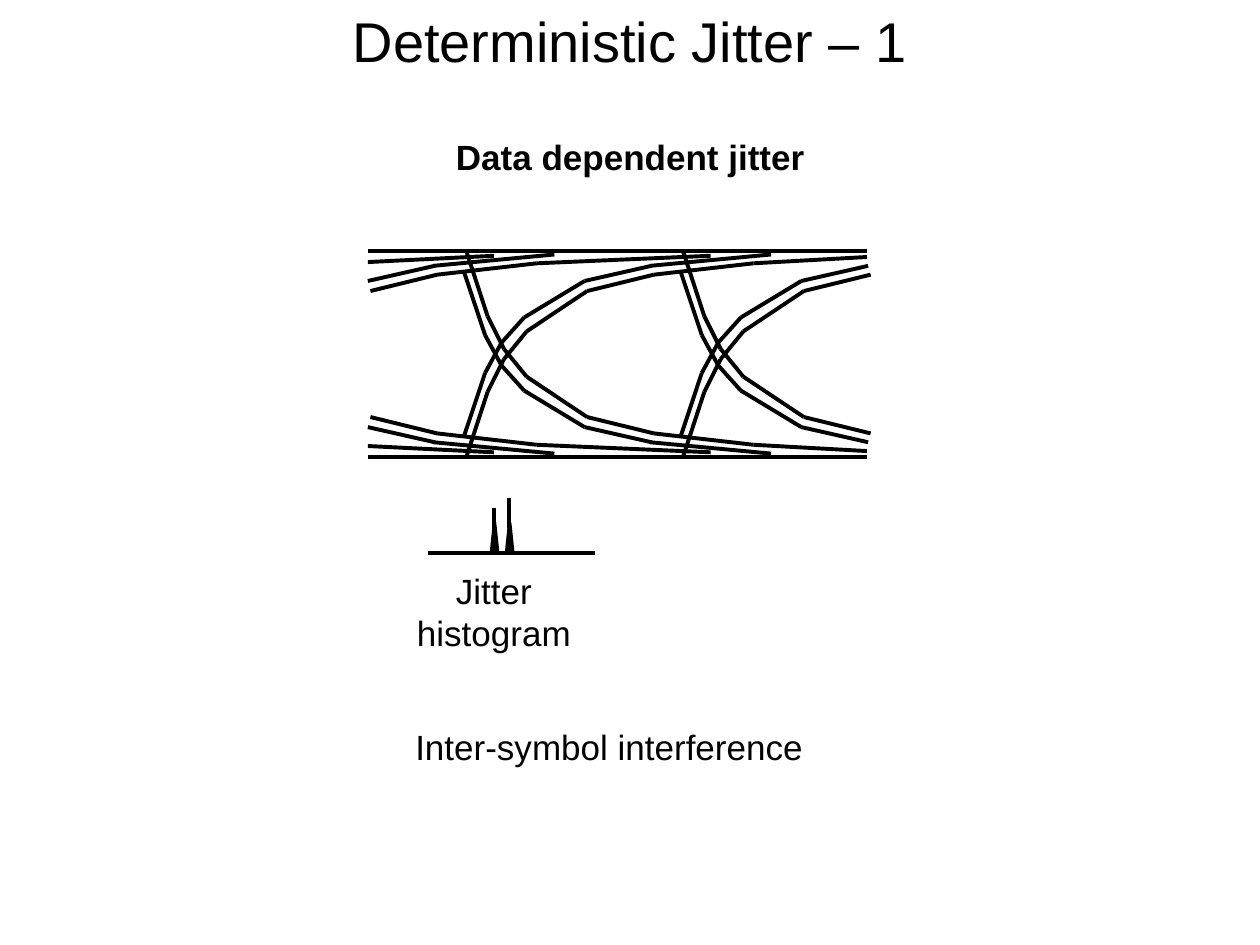
from pptx import Presentation
from pptx.dml.color import RGBColor
from pptx.enum.shapes import MSO_CONNECTOR, MSO_SHAPE
from pptx.enum.text import MSO_AUTO_SIZE, PP_ALIGN
from pptx.oxml.ns import qn
from pptx.util import Inches, Pt
from lxml import etree

STRAIGHT = MSO_CONNECTOR.STRAIGHT
TRIANGLE = MSO_SHAPE.ISOSCELES_TRIANGLE
FIT_SHAPE = MSO_AUTO_SIZE.SHAPE_TO_FIT_TEXT
LEFT, CENTER = PP_ALIGN.LEFT, PP_ALIGN.CENTER
BLACK = RGBColor(0, 0, 0)

# Eye diagram geometry, in inches
EYE_LEFT, EYE_RIGHT = 2.92, 6.88
EYE_TOP, EYE_BOTTOM = 1.99, 3.63
PERIOD = 1.72
OUTER_EDGE = [(3.7, 1.99), (3.87, 2.51), (4, 2.77), (4.18, 2.99),
              (4.66, 3.31), (5.19, 3.44)]
INNER_EDGE = [(3.68, 2.15), (3.85, 2.66), (3.98, 2.9), (4.16, 3.1),
              (4.64, 3.39), (5.17, 3.51)]
INNER_TAIL = [(3.44, 3.51), (4.4, 3.6)]


def shift(points, offset):
    return [(x + offset, y) for x, y in points]


def mirror(points):
    """Flip a trace about the middle of the eye."""
    return [(x, EYE_TOP + EYE_BOTTOM - y) for x, y in points]


class SlideBuilder:
    font_name = "Arial"
    color = BLACK
    line_width = Pt(2.25)
    outline_width = Pt(2)

    def __init__(self, slide):
        self.slide = slide

    def text(self, content, left, top, width, height,
             size=20, bold=False, align=CENTER, wrap=True):
        box = self.slide.shapes.add_textbox(
            Inches(left), Inches(top), Inches(width), Inches(height))
        frame = box.text_frame
        frame.word_wrap = wrap
        frame.auto_size = FIT_SHAPE
        paragraph = frame.paragraphs[0]
        paragraph.alignment = align
        run = paragraph.add_run()
        run.text = content
        run.font.name = self.font_name
        run.font.size = Pt(size)
        run.font.bold = bold
        run.font.color.rgb = self.color

    def line(self, start, end):
        connector = self.slide.shapes.add_connector(
            STRAIGHT, *(Inches(value) for value in (*start, *end)))
        connector.line.color.rgb = self.color
        connector.line.width = self.line_width
        etree.SubElement(connector._element.spPr, qn("a:effectLst"))

    def trace(self, points):
        for start, end in zip(points, points[1:]):
            self.line(start, end)

    def triangle(self, left, top, width, height):
        shape = self.slide.shapes.add_shape(
            TRIANGLE, Inches(left), Inches(top), Inches(width), Inches(height))
        shape.shadow.inherit = False
        shape.fill.solid()
        shape.fill.fore_color.rgb = self.color
        shape.line.color.rgb = self.color
        shape.line.width = self.outline_width


def main():
    presentation = Presentation()
    presentation.slide_width = Inches(10)
    presentation.slide_height = Inches(7.5)
    slide = presentation.slides.add_slide(presentation.slide_layouts[6])
    builder = SlideBuilder(slide)

    # Headings
    builder.text("Deterministic Jitter – 1", 0, 0, 10, 0.64, size=32)
    builder.text("Data dependent jitter", 3.52, 1.03, 2.99, 0.44,
                 bold=True, align=LEFT, wrap=False)

    # Eye diagram: each falling trace has a mirrored rising one
    falling_traces = [
        shift(OUTER_EDGE[-2:], -PERIOD) + [(4.26, 3.53), (5.64, 3.59)],
        shift(INNER_EDGE[-2:], -PERIOD),
        OUTER_EDGE + [(5.98, 3.53), (EYE_RIGHT, 3.58)],
        INNER_EDGE,
        shift(OUTER_EDGE, PERIOD),
        shift(INNER_EDGE, PERIOD),
        INNER_TAIL,
        shift(INNER_TAIL, PERIOD),
        [(EYE_LEFT, 3.54), (3.92, 3.59)],
        [(EYE_LEFT, EYE_BOTTOM), (EYE_RIGHT, EYE_BOTTOM)],
    ]
    for points in falling_traces:
        builder.trace(points)
        builder.trace(mirror(points))

    # Jitter histogram: two peaks on a baseline
    builder.line((4.72, 4.39), (3.4, 4.39))
    for center, top in ((3.92, 4.03), (4.04, 3.95)):
        builder.line((center, top), (center, top + 0.24))
        builder.triangle(center - 0.02, 4.15, 0.05, 0.24)
    builder.text("Jitter histogram", 2.96, 4.47, 1.92, 0.77)

    # Caption
    builder.text("Inter-symbol interference", 2.76, 5.71, 4.15, 0.44)

    presentation.save("out.pptx")


if __name__ == "__main__":
    main()
